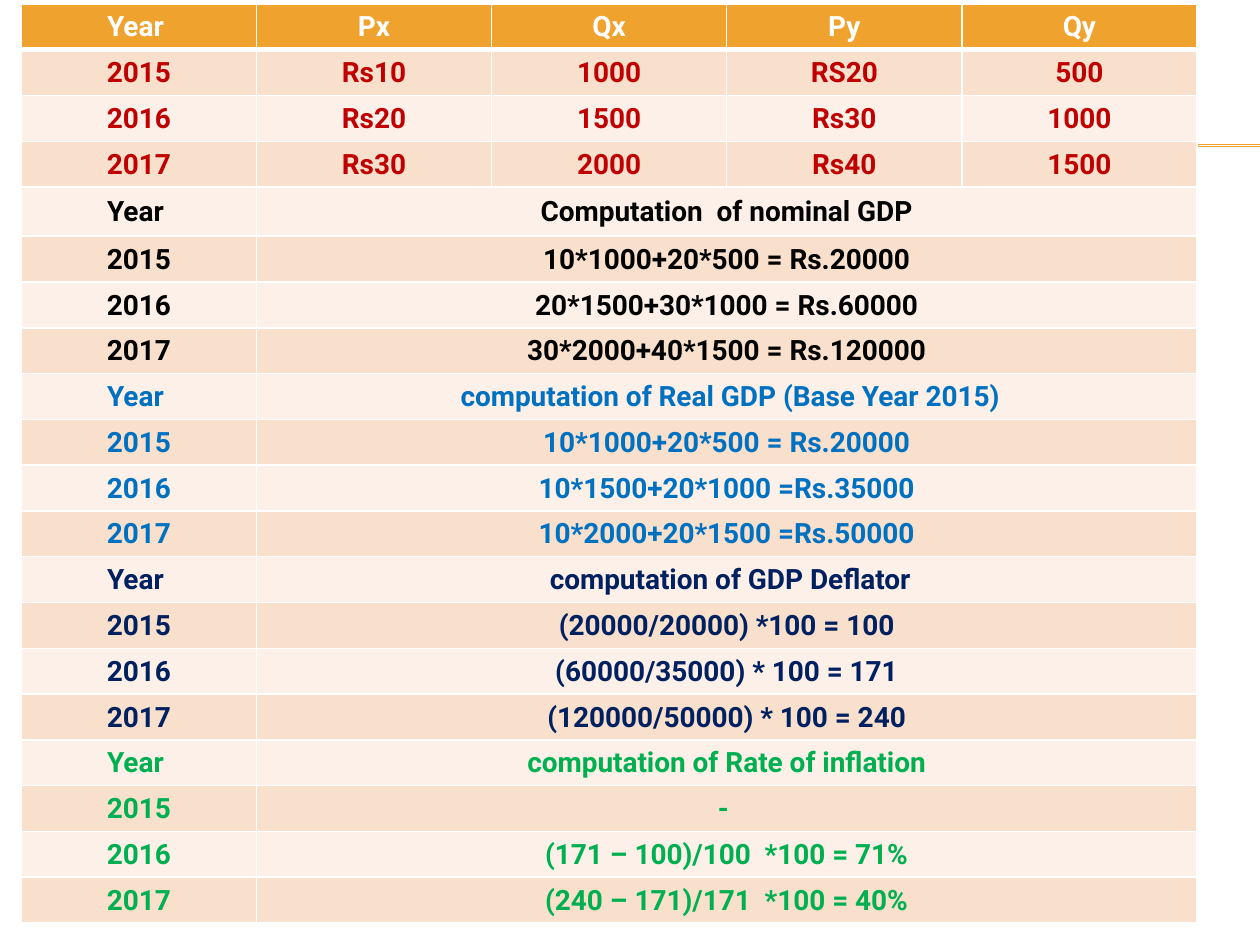
from dataclasses import dataclass

from lxml import etree
from pptx import Presentation, util as u
from pptx.dml.color import RGBColor
from pptx.enum import shapes, text
from pptx.oxml import ns


@dataclass(frozen=True)
class Theme:
    font: str = "Roboto"
    size: int = 16
    accent: str = "F0A22E"
    white: str = "FFFFFF"
    bands: tuple = ("FCF0E8", "F9E0CD")  # even rows, odd rows
    prices: str = "C00000"
    nominal: str = "000000"
    real: str = "0070C0"
    deflator: str = "002060"
    inflation: str = "00B050"


theme = Theme()


def set_border(cell, side, points):
    properties = cell._tc.get_or_add_tcPr()
    line = etree.SubElement(properties, ns.qn(f"a:ln{side}"), w=str(u.Pt(points)))
    fill = etree.SubElement(line, ns.qn("a:solidFill"))
    etree.SubElement(fill, ns.qn("a:srgbClr"), val=theme.white)


# Table content: text colour and rows of each section
sections = [
    (theme.white, [["Year ", "Px", "Qx", "Py", "Qy"]]),
    (theme.prices, [
        ["2015", "Rs10", "1000", "RS20", "500"],
        ["2016", "Rs20", "1500", "Rs30", "1000"],
        ["2017", "Rs30", "2000", "Rs40", "1500"],
    ]),
    (theme.nominal, [
        ["Year ", "Computation  of nominal GDP"],
        ["2015", "10*1000+20*500 = Rs.20000"],
        ["2016", "20*1500+30*1000 = Rs.60000"],
        ["2017", "30*2000+40*1500 = Rs.120000"],
    ]),
    (theme.real, [
        ["Year ", " computation of Real GDP (Base Year 2015)"],
        ["2015", "10*1000+20*500 = Rs.20000"],
        ["2016", "10*1500+20*1000 =Rs.35000"],
        ["2017", "10*2000+20*1500 =Rs.50000"],
    ]),
    (theme.deflator, [
        ["Year ", " computation of GDP Deflator"],
        ["2015", "(20000/20000) *100 = 100"],
        ["2016", "(60000/35000) * 100 = 171"],
        ["2017", "(120000/50000) * 100 = 240"],
    ]),
    (theme.inflation, [
        ["Year ", "computation of Rate of inflation"],
        ["2015", "- "],
        ["2016", "(171 – 100)/100  *100 = 71%"],
        ["2017", "(240 – 171)/171  *100 = 40%"],
    ]),
]
rows = [(color, values) for color, group in sections for values in group]

presentation = Presentation()
presentation.slide_width, presentation.slide_height = u.Cm(25.4), u.Cm(19.05)
slide = presentation.slides.add_slide(presentation.slide_layouts[6])

# Double rule behind the table
for y in (2.92, 2.95):
    rule = slide.shapes.add_connector(
        shapes.MSO_CONNECTOR.STRAIGHT, u.Cm(1.42), u.Cm(y), u.Cm(25.4), u.Cm(y))
    rule.line.color.rgb = RGBColor.from_string(theme.accent)
    rule.line.width = u.Pt(0.75)
    etree.SubElement(rule._element.spPr, ns.qn("a:effectLst"))

# Table grid: equal rows, with a taller title row for nominal GDP
column_count = 5
width, height = u.Cm(23.7), u.Cm(18.54)
tall_row, tall_height = 4, u.Cm(0.99)
table = slide.shapes.add_table(
    len(rows), column_count, u.Cm(0.43), u.Cm(0.08), width, height).table
for column in table.columns:
    column.width = width // column_count
for row in table.rows:
    row.height = (height - tall_height) // (len(rows) - 1)
table.rows[tall_row].height = tall_height

# Cells: a row with two values spans the second over the rest
for index, (color, values) in enumerate(rows):
    if len(values) < column_count:
        table.cell(index, 1).merge(table.cell(index, column_count - 1))
    for cell in table.rows[index].cells:
        for side in "LRTB":
            header_edge = (index, side) in ((0, "B"), (1, "T"))
            set_border(cell, side, 3 if header_edge else 1)
        cell.fill.solid()
        cell.fill.fore_color.rgb = RGBColor.from_string(
            theme.bands[index % 2] if index else theme.accent)
    for cell, value in zip(table.rows[index].cells, values):
        cell.margin_left = cell.margin_right = cell.margin_top = u.Cm(0.02)
        cell.margin_bottom = 0
        cell.vertical_anchor = text.MSO_ANCHOR.MIDDLE
        cell.text_frame.text = value
        paragraph = cell.text_frame.paragraphs[0]
        paragraph.alignment = text.PP_ALIGN.CENTER
        font = paragraph.runs[0].font
        font.name, font.size, font.bold = theme.font, u.Pt(theme.size), True
        font.color.rgb = RGBColor.from_string(color)

presentation.save("out.pptx")
